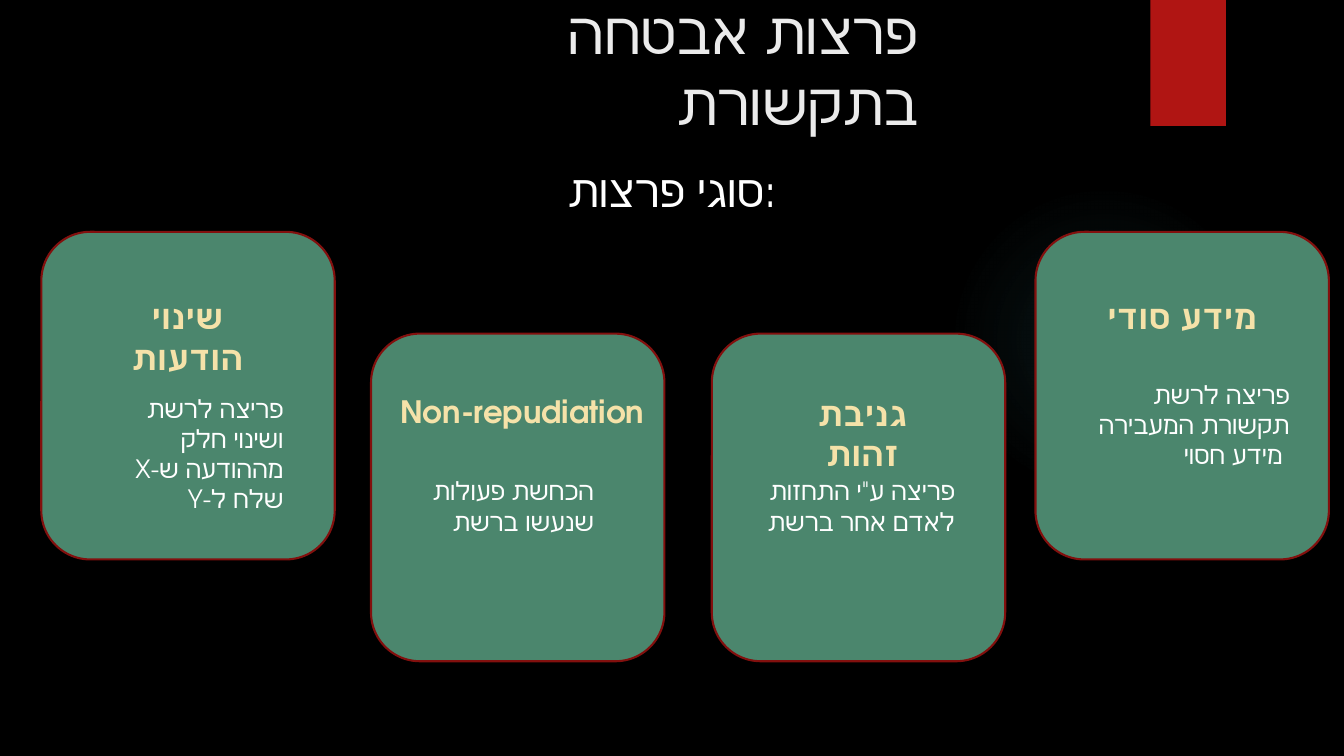
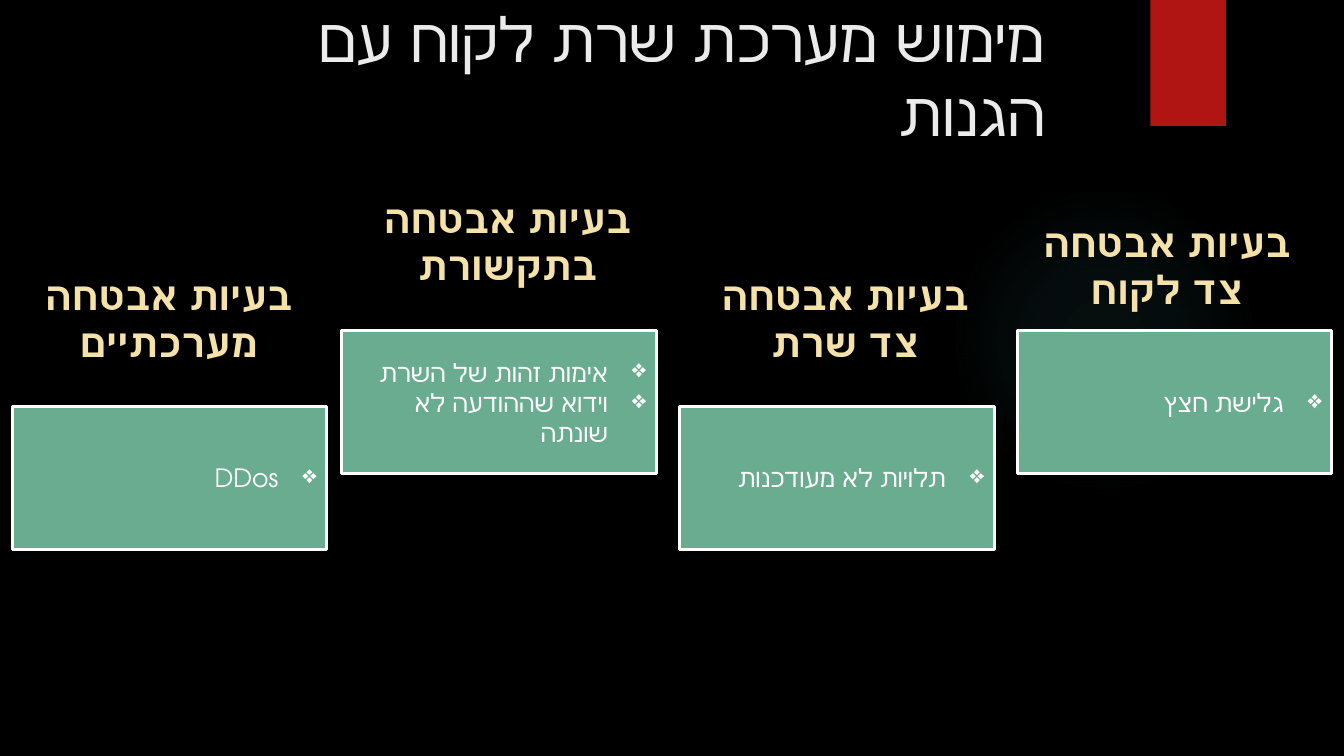
from lxml.etree import SubElement
from pptx import Presentation
from pptx.dml.color import RGBColor
from pptx.enum.dml import MSO_PATTERN
from pptx.enum.shapes import MSO_SHAPE
from pptx.enum.text import MSO_ANCHOR, MSO_AUTO_SIZE, PP_ALIGN
from pptx.oxml import parse_xml
from pptx.oxml.ns import nsdecls, qn
from pptx.util import Inches, Pt

FONT = "TeX Gyre Adventor"
COLORS = {
    "background": "000000",
    "title": "EBEBEB",
    "text": "FFFFFF",
    "ribbon": "B01513",
    "glow": "50B9C1",
    "card": "4B866D",
    "card_edge": "82100E",
    "panel": "6AAC90",
    "gold": "E6B729",
    "pale_gold": "F5E2A9",
    "gold_edge": "795F0E",
}
CARD_SIZE = (2.91, 3.25)
PANEL_SIZE = (3.12, 1.42)
HEADING_SIZE = (2.97, 1.04)
BULLET_INDENT = 0.38

CARDS = [
    {"at": (10.27, 2.3), "heading": "מידע סודי", "heading_box": (0.53, 0.59, 1.85, 0.5),
     "body": "פריצה לרשת תקשורת המעבירה מידע חסוי ", "body_box": (0.28, 1.41, 2.34, 0.71)},
    {"at": (7.06, 3.31), "heading": "גניבת זהות", "heading_box": (0.57, 0.54, 1.85, 0.5),
     "body": "פריצה ע\"י התחזות לאדם אחר ברשת", "body_box": (0.4, 1.36, 2.11, 0.71)},
    {"at": (3.68, 3.31), "heading": "Non-repudiation", "heading_box": (0.12, 0.54, 2.76, 0.47),
     "body": "הכחשת פעולות שנעשו ברשת", "body_box": (0.41, 1.36, 1.9, 0.71), "size": 22},
    {"at": (0.41, 2.3), "heading": "שינוי הודעות", "heading_box": (0.42, 0.59, 2.06, 0.5),
     "body": "פריצה לרשת ושינוי חלק מההודעה ש-X שלח ל-Y", "body_box": (0.39, 1.55, 2.11, 1.01),
     "rtl": True},
]

PANELS = [
    {"at": (10.09, 3.28), "heading": "בעיות אבטחה צד לקוח", "heading_at": (0, -1.16),
     "items": ["גלישת חצץ"]},
    {"at": (6.74, 4.03), "heading": "בעיות אבטחה צד שרת", "heading_at": (0.16, -1.39),
     "items": ["תלויות לא מעודכנות"]},
    {"at": (3.39, 3.28), "heading": "בעיות אבטחה בתקשורת", "heading_at": (0.16, -1.4),
     "items": ["אימות זהות של השרת", "וידוא שההודעה לא שונתה"]},
    {"at": (0.12, 4.03), "heading": "בעיות אבטחה מערכתיים", "heading_at": (0.07, -1.39),
     "items": ["DDos"]},
]


def rgb(name):
    return RGBColor.from_string(COLORS[name])


def inches(box):
    return [Inches(length) for length in box]


def within(origin, box):
    return (origin[0] + box[0], origin[1] + box[1], *box[2:])


def gild(span):
    fill = span.font.fill
    fill.patterned()
    fill.pattern = MSO_PATTERN.NARROW_HORIZONTAL
    fill.fore_color.rgb = rgb("gold")
    fill.back_color.rgb = rgb("pale_gold")
    outline = parse_xml(
        f'<a:ln {nsdecls("a")} w="12700"><a:solidFill>'
        f'<a:srgbClr val="{COLORS["gold_edge"]}"/></a:solidFill></a:ln>')
    span.font._element.insert(0, outline)


def write(frame, *lines, size=18, color="text", align=PP_ALIGN.RIGHT,
          rtl=False, bullet=None, gilded=False):
    frame.word_wrap = True
    for index, line in enumerate(lines):
        para = frame.add_paragraph() if index else frame.paragraphs[0]
        para.alignment = align
        props = para._p.get_or_add_pPr()
        if rtl:
            props.set("rtl", "1")
        if bullet:
            props.set("marL", str(Inches(BULLET_INDENT)))
            props.set("indent", str(-Inches(BULLET_INDENT)))
            SubElement(props, qn("a:buChar")).set("char", bullet)
        span = para.add_run()
        span.text = line
        span.font.size = Pt(size)
        span.font.name = FONT
        SubElement(span.font._element, qn("a:cs")).set("typeface", FONT)
        if gilded:
            span.font.bold = True
            gild(span)
        else:
            span.font.color.rgb = rgb(color)


def add_text(page, box, text, **style):
    frame = page.shapes.add_textbox(*inches(box)).text_frame
    write(frame, text, **style)
    frame.auto_size = MSO_AUTO_SIZE.SHAPE_TO_FIT_TEXT


def add_heading(page, box, text, size):
    add_text(page, box, text, size=size, align=PP_ALIGN.CENTER, gilded=True)


def add_block(page, preset, box, fill, edge=None, edge_width=0):
    block = page.shapes.add_shape(preset, *inches(box))
    block.shadow.inherit = False
    block.fill.solid()
    block.fill.fore_color.rgb = rgb(fill)
    if edge:
        block.line.color.rgb = rgb(edge)
        block.line.width = Pt(edge_width)
    else:
        block.line.fill.background()
    return block


def soften_glow(glow):
    stops = "".join(
        f'<a:gs pos="{place * 1000}"><a:srgbClr val="{COLORS["glow"]}">'
        f'<a:alpha val="{alpha * 1000}"/></a:srgbClr></a:gs>'
        for place, alpha in ((0, 7), (36, 6), (69, 0)))
    gradient = parse_xml(
        f'<a:gradFill {nsdecls("a")} rotWithShape="1"><a:gsLst>{stops}</a:gsLst>'
        '<a:path path="circle"><a:fillToRect l="50000" t="50000" r="50000" b="50000"/>'
        '</a:path></a:gradFill>')
    props = glow.element.spPr
    props.replace(props.find(qn("a:solidFill")), gradient)


def drop_shadow(block):
    effects = block.element.spPr.find(qn("a:effectLst"))
    effects.append(parse_xml(
        f'<a:outerShdw {nsdecls("a")} blurRad="38100" dist="25400" dir="5400000">'
        '<a:srgbClr val="000000"><a:alpha val="45000"/></a:srgbClr></a:outerShdw>'))


def decorate_layout(layout, page):
    layout.background.fill.solid()
    layout.background.fill.fore_color.rgb = rgb("background")
    tree = layout.element.cSld.spTree
    for holder in list(layout.placeholders):
        if holder.placeholder_format.idx:
            tree.remove(holder.element)
    glow = add_block(page, MSO_SHAPE.OVAL, (9.41, 1.83, 3.08, 3.08), "glow")
    soften_glow(glow)
    ribbon = add_block(page, MSO_SHAPE.RECTANGLE, (11.41, 0, 0.75, 1.25), "ribbon")
    drop_shadow(ribbon)
    for block in (glow, ribbon):
        tree.append(block.element)


def add_title(page, box, text, size):
    title = page.shapes.title
    title.left, title.top, title.width, title.height = inches(box)
    frame = title.text_frame
    write(frame, text, size=size, color="title", rtl=True)
    frame.auto_size = MSO_AUTO_SIZE.NONE
    frame.vertical_anchor = MSO_ANCHOR.BOTTOM


def add_card(page, at, heading, heading_box, body, body_box, size=24, rtl=False):
    add_block(page, MSO_SHAPE.ROUNDED_RECTANGLE, (*at, *CARD_SIZE),
              "card", "card_edge", 1.5)
    add_heading(page, within(at, heading_box), heading, size)
    add_text(page, within(at, body_box), body, rtl=rtl)


def add_panel(page, at, heading, heading_at, items):
    panel = add_block(page, MSO_SHAPE.RECTANGLE, (*at, *PANEL_SIZE),
                      "panel", "text", 2.25)
    panel.text_frame.vertical_anchor = MSO_ANCHOR.MIDDLE
    write(panel.text_frame, *items, rtl=True, bullet="❖")
    add_heading(page, within(at, (*heading_at, *HEADING_SIZE)), heading, 28)


def fill_breaches(page):
    add_title(page, (4.13, 0.64, 5.08, 0.77), "פרצות אבטחה בתקשורת", 42)
    add_text(page, (5.53, 1.57, 2.27, 0.64), "סוגי פרצות:", size=32)
    for card in CARDS:
        add_card(page, **card)


def fill_defences(page):
    add_title(page, (2.86, 0.72, 7.61, 0.81), "מימוש מערכת שרת לקוח עם הגנות", 44)
    for panel in PANELS:
        add_panel(page, **panel)


def main():
    deck = Presentation()
    deck.slide_width, deck.slide_height = Inches(13.33), Inches(7.5)
    layout = deck.slide_layouts.get_by_name("Title Only")
    pages = [deck.slides.add_slide(layout) for _ in range(2)]
    decorate_layout(layout, pages[0])
    fill_breaches(pages[0])
    fill_defences(pages[1])
    deck.save("out.pptx")


if __name__ == "__main__":
    main()
